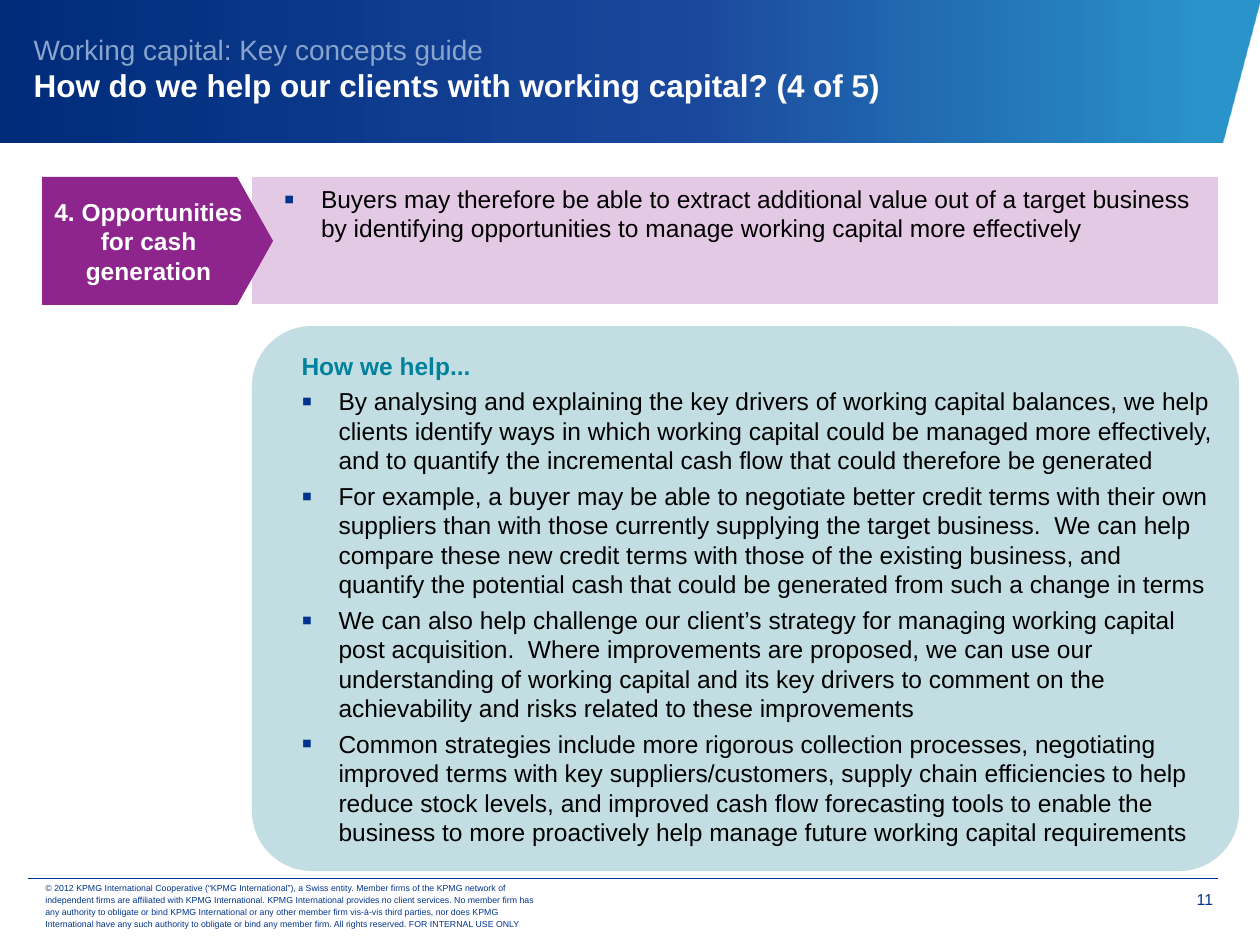
"""Build the working capital slide on opportunities for cash generation."""
from lxml import etree
from pptx import Presentation
from pptx.dml.color import RGBColor
from pptx.enum.shapes import MSO_CONNECTOR, MSO_SHAPE
from pptx.enum.text import MSO_ANCHOR, MSO_AUTO_SIZE, PP_ALIGN
from pptx.oxml import parse_xml
from pptx.oxml.ns import nsdecls, qn
from pptx.util import Emu, Pt

PX = 914400 / 126
LEFT, CENTER, RIGHT = PP_ALIGN.LEFT, PP_ALIGN.CENTER, PP_ALIGN.RIGHT
TOP, MIDDLE = MSO_ANCHOR.TOP, MSO_ANCHOR.MIDDLE
NAVY, WHITE, BLACK, TEAL = "00338D", "FFFFFF", "000000", "00829C"
MARGIN, INDENT, HANGING = 7, 62, -37

BUYER_POINT = (
    "Buyers may therefore be able to extract additional value out of a target business "
    "by identifying opportunities to manage working capital more effectively"
)
HELP_POINTS = [
    "By analysing and explaining the key drivers of working capital balances, we help "
    "clients identify ways in which working capital could be managed more effectively, "
    "and to quantify the incremental cash flow that could therefore be generated",
    "For example, a buyer may be able to negotiate better credit terms with their own "
    "suppliers than with those currently supplying the target business.  We can help "
    "compare these new credit terms with those of the existing business, and quantify "
    "the potential cash that could be generated from such a change in terms",
    "We can also help challenge our client’s strategy for managing working capital post "
    "acquisition.  Where improvements are proposed, we can use our understanding of "
    "working capital and its key drivers to comment on the achievability and risks "
    "related to these improvements",
    "Common strategies include more rigorous collection processes, negotiating improved "
    "terms with key suppliers/customers, supply chain efficiencies to help reduce stock "
    "levels, and improved cash flow forecasting tools to enable the business to more "
    "proactively help manage future working capital requirements",
]
COPYRIGHT = (
    "© 2012 KPMG International Cooperative (“KPMG International”), a Swiss entity. Member "
    "firms of the KPMG network of independent firms are affiliated with KPMG International. "
    "KPMG International provides no client services. No member firm has any authority to "
    "obligate or bind KPMG International or any other member firm vis-à-vis third parties, "
    "nor does KPMG International have any such authority to obligate or bind any member firm. "
    "All rights reserved. FOR INTERNAL USE ONLY"
)


def px(length):
    return Emu(round(length * PX))


def style(span, size, color, bold=False):
    span.font.name = "Arial"
    span.font.size = Pt(size)
    span.font.bold = bold
    span.font.color.rgb = RGBColor.from_string(color)


deck = Presentation()
deck.slide_width, deck.slide_height = px(1260), px(945)
page = deck.slides.add_slide(deck.slide_layouts[5])

title = page.shapes.title
title.left, title.top, title.width, title.height = px(21), px(0), px(1239), px(136)
frame = title.text_frame
frame.auto_size = MSO_AUTO_SIZE.NONE
frame.vertical_anchor = MIDDLE
frame.text = (
    "Working capital: Key concepts guide\v"
    "How do we help our clients with working capital? (4 of 5)"
)
frame.paragraphs[0].alignment = LEFT
subject, question = frame.paragraphs[0].runs
style(subject, 16, "8AA5CB")
style(question, 18, WHITE, True)

builder = page.shapes.build_freeform(0, 0, scale=PX)
builder.add_line_segments([(1260, 0), (1222, 142), (0, 142)], close=True)
header = builder.convert_to_shape()
header.shadow.inherit = False
header.line.fill.background()
header.fill.background()
stops = "".join(
    f'<a:gs pos="{place * 1000}"><a:srgbClr val="{color}">'
    f'<a:alpha val="{opacity * 1000}"/></a:srgbClr></a:gs>'
    for place, color, opacity in [(4, "0080C0", 83), (44, "003492", 89), (100, "002C7A", 100)]
)
gradient = parse_xml(
    f'<a:gradFill {nsdecls("a")} rotWithShape="1"><a:gsLst>{stops}</a:gsLst>'
    '<a:lin ang="10800000" scaled="0"/></a:gradFill>'
)
properties = header.element.spPr
properties.replace(properties.find(qn("a:noFill")), gradient)
title.element.addprevious(header.element)

rule = page.shapes.add_connector(MSO_CONNECTOR.STRAIGHT, px(28), px(878), px(1218), px(878))
rule.line.width = Pt(0.25)
rule.line.color.rgb = RGBColor.from_string(NAVY)
etree.SubElement(rule.element.spPr, qn("a:effectLst"))

number = page.shapes.add_textbox(px(1144), px(880), px(69), px(39))
frame = number.text_frame
frame.word_wrap = True
frame.margin_left = frame.margin_top = px(10)
frame.margin_right = frame.margin_bottom = 0
frame.text = "11"
frame.paragraphs[0].alignment = RIGHT
style(frame.paragraphs[0].runs[0], 9, NAVY)

notice = page.shapes.add_textbox(px(33), px(883), px(523), px(44))
frame = notice.text_frame
frame.word_wrap = True
frame.vertical_anchor = MIDDLE
frame.text = COPYRIGHT
frame.paragraphs[0].line_spacing = Pt(7)
style(frame.paragraphs[0].runs[0], 5, NAVY)

HEADING, BULLET, LABEL = "heading", "bullet", "label"
panels = [
    (MSO_SHAPE.ROUNDED_RECTANGLE, 0.11, (252, 326, 987, 545), "C3DEE2", TOP,
     [(HEADING, "How we help...")] + [(BULLET, point) for point in HELP_POINTS]),
    (MSO_SHAPE.RECTANGLE, None, (252, 177, 966, 127), "E3C9E3", TOP, [(BULLET, BUYER_POINT)]),
    (MSO_SHAPE.PENTAGON, 0.28, (42, 177, 231, 128), "8E258D", MIDDLE,
     [(LABEL, "4. Opportunities for cash generation")]),
]
text_colors = {HEADING: TEAL, BULLET: BLACK, LABEL: WHITE}

for preset, adjustment, bounds, fill, anchor, entries in panels:
    panel = page.shapes.add_shape(preset, *map(px, bounds))
    if adjustment is not None:
        panel.adjustments[0] = adjustment
    panel.shadow.inherit = False
    panel.fill.solid()
    panel.fill.fore_color.rgb = RGBColor.from_string(fill)
    panel.line.fill.background()
    frame = panel.text_frame
    frame.word_wrap = True
    frame.vertical_anchor = anchor
    frame.margin_left = frame.margin_right = px(MARGIN)
    frame.margin_top = frame.margin_bottom = px(MARGIN)
    frame.text = "\n".join(text for _, text in entries)
    for position, (kind, _) in enumerate(entries):
        para = frame.paragraphs[position]
        para.alignment = CENTER if kind == LABEL else LEFT
        if position:
            para.space_before = Pt(3.6)
        layout = para._p.get_or_add_pPr()
        if kind != LABEL:
            layout.set("marL", str(px(INDENT)))
            layout.set("indent", str(px(HANGING)))
        if kind == BULLET:
            color = etree.SubElement(layout, qn("a:buClr"))
            etree.SubElement(color, qn("a:srgbClr"), val=NAVY)
            etree.SubElement(layout, qn("a:buSzPct"), val="125000")
            etree.SubElement(layout, qn("a:buFont"), typeface="Arial")
            etree.SubElement(layout, qn("a:buChar"), char="▪")
        style(para.runs[0], 14, text_colors[kind], kind != BULLET)

deck.save("out.pptx")
